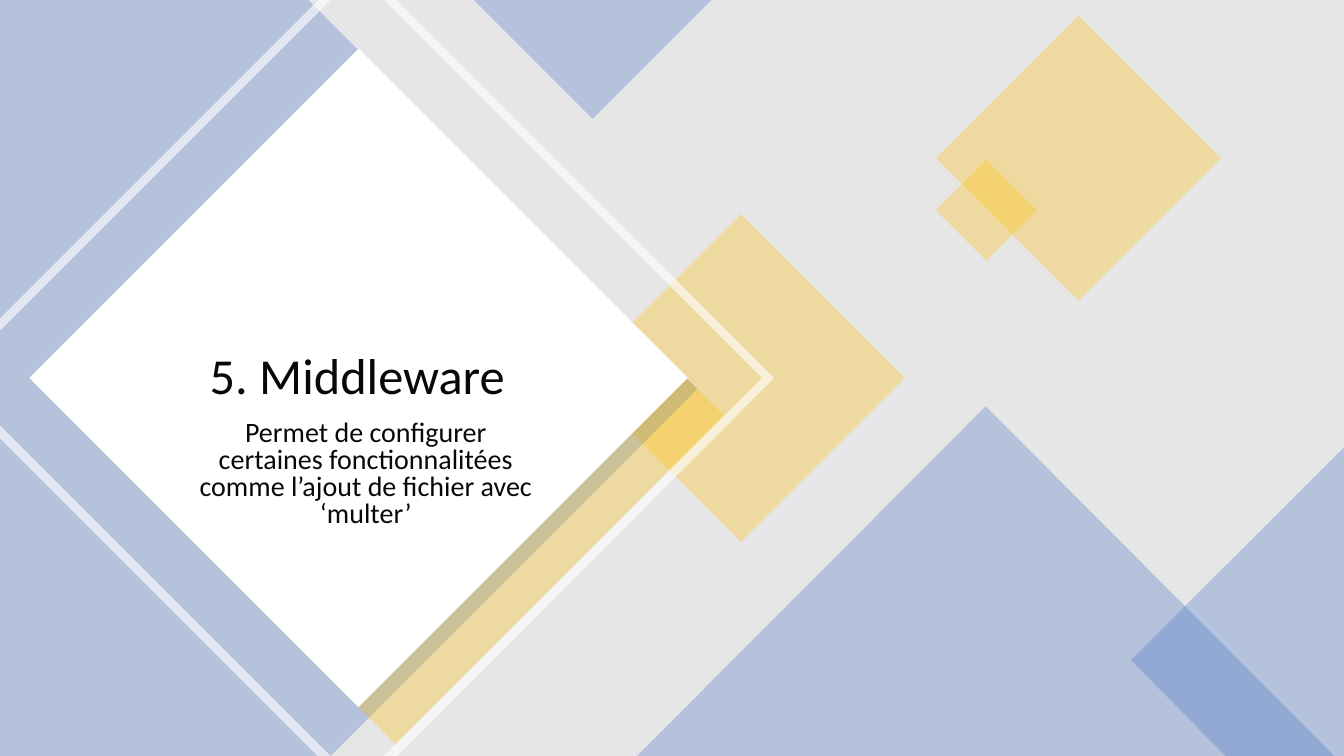
"""Build the Middleware section slide with overlapping translucent diamonds."""
from collections import namedtuple

from lxml import etree
from pptx import Presentation
from pptx.dml.color import RGBColor
from pptx.enum.shapes import MSO_SHAPE
from pptx.enum.text import MSO_ANCHOR, PP_ALIGN
from pptx.oxml.ns import qn
from pptx.util import Pt

RECTANGLE = MSO_SHAPE.RECTANGLE
TRIANGLE = MSO_SHAPE.ISOSCELES_TRIANGLE
TOP, MIDDLE = MSO_ANCHOR.TOP, MSO_ANCHOR.MIDDLE
CENTER = PP_ALIGN.CENTER

Theme = namedtuple("Theme", "grey blue gold white ink font title_size body_size tint veil")
theme = Theme("E7E6E6", "4472C4", "FFC000", "FFFFFF", "080808", "Calibri", 36, 20, 30, 60)


def paint(shape, color, opacity=100):
    shape.shadow.inherit = False
    shape.line.fill.background()
    shape.fill.solid()
    shape.fill.fore_color.rgb = RGBColor.from_string(color)
    if opacity < 100:
        color_element = shape.fill._xPr.find(qn("a:solidFill"))[0]
        etree.SubElement(color_element, qn("a:alpha")).set("val", str(opacity * 1000))


def add_outline(shapes, contours, color, opacity):
    points = [[(Pt(x), Pt(y)) for x, y in contour] for contour in contours]
    builder = shapes.build_freeform(*points[0][0], scale=1.0)
    builder.add_line_segments(points[0][1:], close=True)
    for contour in points[1:]:
        builder.move_to(*contour[0])
        builder.add_line_segments(contour[1:], close=True)
    paint(builder.convert_to_shape(), color, opacity)


presentation = Presentation()
presentation.slide_width, presentation.slide_height = Pt(960), Pt(540)
slide = presentation.slides.add_slide(presentation.slide_layouts[6])
shapes = slide.shapes

left_panel = [[(0, 0), (220.3, 0), (498.2, 277.9), (236.2, 540), (0, 540)]]
frame = [
    [(0, 303.8), (236.2, 540), (226.8, 540), (0, 313.2)],
    [(274.3, 0), (283, 0), (553, 270), (283.7, 540), (274.3, 540), (544.3, 270)],
    [(227.5, 0), (236.2, 0), (0, 236.2), (0, 227.5)],
]
right_corner = [[(960, 319.7), (960, 540), (875.5, 540), (807.8, 471.6)]]

background = shapes.add_shape(RECTANGLE, 0, 0, Pt(960), Pt(540))
paint(background, theme.grey)

layers = [
    (RECTANGLE, 446.4, 187.2, 165.6, 165.6, 45, theme.gold, theme.tint),
    (left_panel, theme.blue, theme.tint),
    (RECTANGLE, 144.7, 142.6, 298.8, 331.9, 45, theme.gold, theme.tint),
    (RECTANGLE, 89.8, 103.7, 332.6, 332.6, 45, theme.white, 100),
    (frame, theme.white, theme.veil),
    (TRIANGLE, 338.4, 0, 169.9, 85, 180, theme.blue, theme.tint),
    (RECTANGLE, 698.4, 41, 144, 144, 45, theme.gold, theme.tint),
    (RECTANGLE, 679, 124.6, 51.1, 51.1, 45, theme.gold, theme.tint),
    (right_corner, theme.blue, theme.tint),
    (TRIANGLE, 455, 290.2, 498.2, 249.8, 0, theme.blue, theme.tint),
]
for kind, *settings in layers:
    if isinstance(kind, list):
        add_outline(shapes, kind, *settings)
    else:
        left, top, width, height, rotation, color, opacity = settings
        shape = shapes.add_shape(kind, Pt(left), Pt(top), Pt(width), Pt(height))
        shape.rotation = rotation
        paint(shape, color, opacity)

subtitle = ("Permet de configurer certaines fonctionnalitées "
            "comme l’ajout de fichier avec ‘multer’")
texts = [
    ("5. Middleware", 87.8, 193, 334.8, 154.1, MIDDLE, theme.title_size, 0.9, 0),
    (subtitle, 131, 297.4, 260.6, 90, TOP, theme.body_size, 0.8, 10),
]
for text, left, top, width, height, anchor, size, line_spacing, space_before in texts:
    text_box = shapes.add_textbox(Pt(left), Pt(top), Pt(width), Pt(height))
    text_frame = text_box.text_frame
    text_frame.word_wrap = True
    text_frame.vertical_anchor = anchor
    text_frame.text = text
    paragraph = text_frame.paragraphs[0]
    paragraph.alignment = CENTER
    paragraph.line_spacing = line_spacing
    paragraph.space_before = Pt(space_before)
    font = paragraph.runs[0].font
    font.name, font.size = theme.font, Pt(size)
    font.color.rgb = RGBColor.from_string(theme.ink)

presentation.save("out.pptx")
